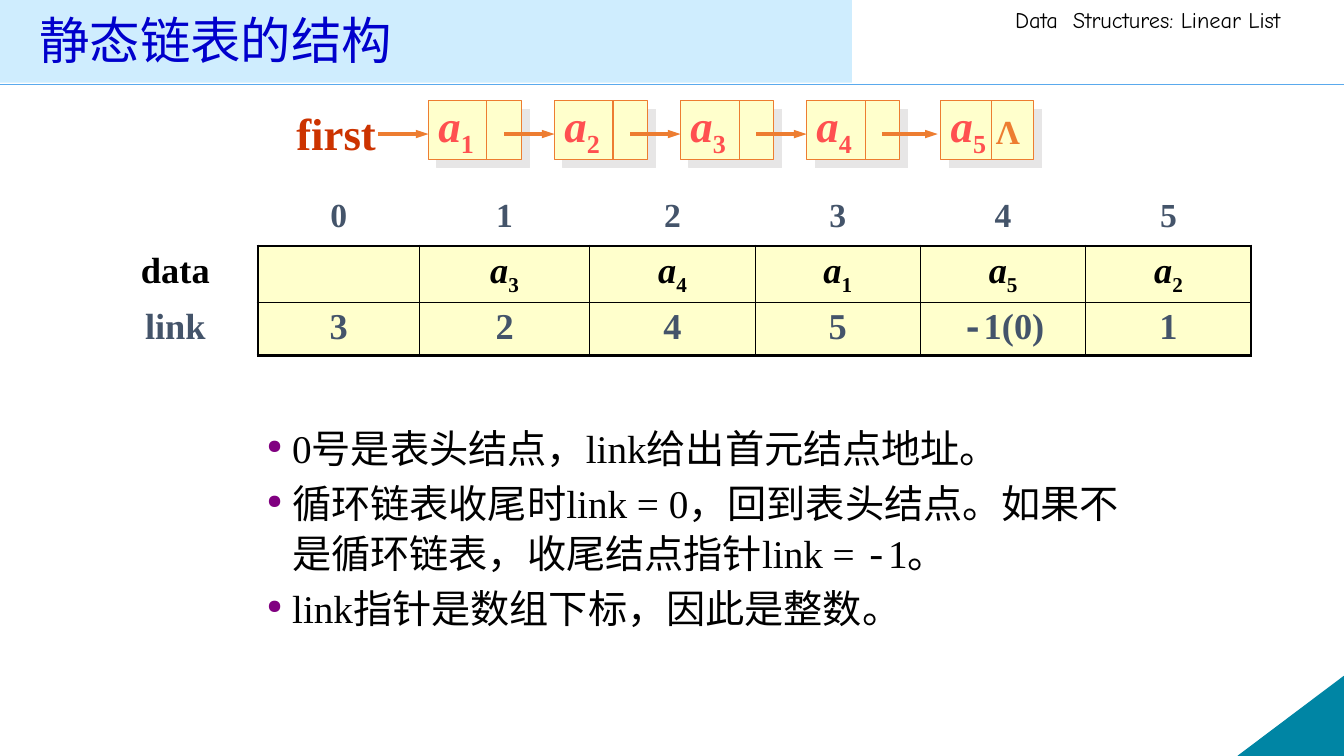
import pptx
import pptx.util
import pptx.dml.color
import pptx.enum.shapes
import pptx.enum.text
import pptx.oxml
import pptx.oxml.ns

BLACK = pptx.dml.color.RGBColor(0x00, 0x00, 0x00)
TITLE_BLUE = pptx.dml.color.RGBColor(0x00, 0x00, 0xCC)
BAND_BLUE = pptx.dml.color.RGBColor(0xCF, 0xED, 0xFE)
RULE_BLUE = pptx.dml.color.RGBColor(0x5A, 0xAA, 0xED)
TEAL = pptx.dml.color.RGBColor(0x00, 0x85, 0xA4)
CREAM = pptx.dml.color.RGBColor(0xFF, 0xFF, 0xCC)
SLATE = pptx.dml.color.RGBColor(0x44, 0x54, 0x6A)
ORANGE = pptx.dml.color.RGBColor(0xED, 0x7D, 0x31)
RED = pptx.dml.color.RGBColor(0xFF, 0x50, 0x50)
RUST = pptx.dml.color.RGBColor(0xCC, 0x33, 0x00)
PURPLE = pptx.dml.color.RGBColor(0x80, 0x00, 0x80)
SHADOW = pptx.dml.color.RGBColor(0xE7, 0xE6, 0xE6)

SERIF, SANS, MONO, COMIC = "Times New Roman", "Noto Sans CJK SC", "Courier New", "Comic Neue"


def inches(*lengths):
    return [pptx.util.Inches(v) for v in lengths]


def xml(body):
    """Parse one element of the a: namespace."""
    return pptx.oxml.parse_xml(f'<a:x {pptx.oxml.ns.nsdecls("a")}>{body}</a:x>')[0]


def add_run(p, text, size, color, font=SERIF, bold=False, italic=False, sub=False):
    r = p.add_run()
    r.text = text
    f = r.font
    f.size, f.name, f.bold, f.italic = pptx.util.Pt(size), font, bold, italic
    f.color.rgb = color
    rPr = r._r.get_or_add_rPr()
    rPr.append(xml(f'<a:ea typeface="{SANS}"/>'))
    if sub:
        rPr.set("baseline", "-25000")


def add_symbol(p, index, size, color):
    """Write an italic a with a subscript."""
    add_run(p, "a", size, color, bold=True, italic=True)
    add_run(p, index, size, color, bold=True, sub=True)


def add_text(s, x, y, w, h, wrap=False):
    tf = s.shapes.add_textbox(*inches(x, y, w, h)).text_frame
    tf.word_wrap = wrap
    return tf


def add_block(s, shape, x, y, w, h, fill, line=None):
    sp = s.shapes.add_shape(shape, *inches(x, y, w, h))
    sp.shadow.inherit = False
    sp.fill.solid()
    sp.fill.fore_color.rgb = fill
    if line is None:
        sp.line.fill.background()
    else:
        sp.line.color.rgb = line
        sp.line.width = pptx.util.Pt(0.75)
    return sp


def add_line(s, x1, y1, x2, y2, color, width, arrow=False):
    ln = s.shapes.add_connector(pptx.enum.shapes.MSO_CONNECTOR.STRAIGHT,
                                *inches(x1, y1, x2, y2))
    ln.line.color.rgb = color
    ln.line.width = pptx.util.Pt(width)
    spPr = ln._element.spPr
    if arrow:
        spPr.find(pptx.oxml.ns.qn("a:ln")).append(
            xml('<a:tailEnd type="triangle" w="sm" len="med"/>'))
    spPr.append(xml("<a:effectLst/>"))


def add_frame(s, w, h):
    add_line(s, 0, 0.84, w, 0.84, RULE_BLUE, 1)
    corner = add_block(s, pptx.enum.shapes.MSO_SHAPE.RIGHT_TRIANGLE,
                       w - 1.05, h - 0.79, 1.05, 0.79, TEAL, TEAL)
    corner._element.spPr.find(pptx.oxml.ns.qn("a:xfrm")).set("flipH", "1")
    p = add_text(s, 9.97, 0.01, w - 9.97, 0.37, wrap=True).paragraphs[0]
    add_run(p, "Data  Structures: Linear List", 16, BLACK, COMIC)
    add_block(s, pptx.enum.shapes.MSO_SHAPE.RECTANGLE, -0.03, -0.07, 8.48, 0.89, BAND_BLUE)


def add_title(s, x, y, w, h):
    """Place the title in front of the frame."""
    sp = s.shapes.title
    s.shapes._spTree.append(sp._element)
    sp.left, sp.top, sp.width, sp.height = inches(x, y, w, h)
    tf = sp.text_frame
    tf.auto_size = pptx.enum.text.MSO_AUTO_SIZE.NONE
    tf.vertical_anchor = pptx.enum.text.MSO_ANCHOR.MIDDLE
    p = tf.paragraphs[0]
    p.alignment = pptx.enum.text.PP_ALIGN.LEFT
    p.line_spacing = 0.9
    add_run(p, "静态链表的结构", 36, TITLE_BLUE, SANS)


def set_borders(cell, row, col, rows, cols):
    """Rule the value grid: thick outline, thin inside, nothing around the labels."""
    def edge(k, in_grid, last):
        if not in_grid or k == 0:
            return 0
        return 2.25 if k in (1, last) else 1

    widths = {"lnL": edge(col, row, cols), "lnR": edge(col + 1, row, cols),
              "lnT": edge(row, col, rows), "lnB": edge(row + 1, col, rows)}
    tcPr = cell._tc.get_or_add_tcPr()
    for i, (side, width) in enumerate(widths.items()):
        paint = f'<a:solidFill><a:srgbClr val="{BLACK}"/></a:solidFill>' if width else "<a:noFill/>"
        tcPr.insert(i, xml(f'<a:{side} w="{pptx.util.Pt(width)}">{paint}</a:{side}>'))


def add_list_table(s, x, y, widths, row_height):
    grid = [["", "0", "1", "2", "3", "4", "5"],
            ["data", "", "a3", "a4", "a1", "a5", "a2"],
            ["link", "3", "2", "4", "5", "-1(0)", "1"]]
    rows, cols = len(grid), len(widths)
    tbl = s.shapes.add_table(rows, cols, *inches(x, y, sum(widths), row_height * rows)).table
    tbl.first_row = tbl.horz_banding = False
    for c, width in enumerate(widths):
        tbl.columns[c].width = pptx.util.Inches(width)
    for r, values in enumerate(grid):
        tbl.rows[r].height = pptx.util.Inches(row_height)
        for c, value in enumerate(values):
            cell = tbl.cell(r, c)
            cell.margin_left = cell.margin_right = pptx.util.Inches(0.15)
            if r and c:
                cell.fill.solid()
                cell.fill.fore_color.rgb = CREAM
            else:
                cell.fill.background()
            set_borders(cell, r, c, rows, cols)
            p = cell.text_frame.paragraphs[0]
            p.alignment = pptx.enum.text.PP_ALIGN.CENTER
            size, color = 26 if r else 24, BLACK if r == 1 else SLATE
            if r == 1 and c and value:
                add_symbol(p, value[1:], size, color)
            elif value:
                if value.startswith("-"):
                    add_run(p, "-", size, color, MONO, bold=True)
                add_run(p, value.lstrip("-"), size, color, bold=True)


def add_notes_list(s, x, y, w, h):
    items = [["0号是表头结点，link给出首元结点地址。"],
             ["循环链表收尾时link = 0，回到表头结点。如果不是循环链表，收尾结点指针link = ", "-", "1。"],
             ["link指针是数组下标，因此是整数。"]]
    tf = add_text(s, x, y, w, h, wrap=True)
    for i, runs in enumerate(items):
        p = tf.paragraphs[0] if i == 0 else tf.add_paragraph()
        pPr = p._p.get_or_add_pPr()
        pPr.set("marL", str(pptx.util.Inches(0.25)))
        pPr.set("indent", str(pptx.util.Inches(-0.25)))
        pPr.append(xml(f'<a:buClr><a:srgbClr val="{PURPLE}"/></a:buClr>'))
        pPr.append(xml('<a:buSzPct val="50000"/>'))
        pPr.append(xml('<a:buChar char="●"/>'))
        p.line_spacing = 1.05
        if i:
            p.space_before = pptx.util.Pt(4)
        for text in runs:
            add_run(p, text, 28, BLACK, MONO if text == "-" else SERIF)


def add_chain(s, x, y):
    """Draw the linked nodes, the first one at x, y."""
    w, h, step, count = 0.92, 0.58, 1.25, 5
    for i in range(count):
        last = i == count - 1
        left = x + step * i + (0.08 if last else 0)
        node = add_block(s, pptx.enum.shapes.MSO_SHAPE.RECTANGLE, left, y, w, h, CREAM, ORANGE)
        node._element.spPr.find(pptx.oxml.ns.qn("a:effectLst")).append(xml(
            f'<a:outerShdw dist="{pptx.util.Pt(8.5)}" dir="2700000" algn="ctr" rotWithShape="0">'
            f'<a:srgbClr val="{SHADOW}"/></a:outerShdw>'))
        split = left + (0.5 if last else 0.58)
        add_line(s, split, y, split, y + h, ORANGE, 0.75)
        tip = left - (0.03 if last else 0)
        add_line(s, x + step * i - 0.5, y + 0.33, tip, y + 0.33, ORANGE, 3, arrow=True)
        add_symbol(add_text(s, left, y - 0.08, 0.57, 0.64).paragraphs[0], str(i + 1), 32, RED)
    p = add_text(s, split - 0.05, y + 0.05, 0.44, 0.51).paragraphs[0]
    add_run(p, "Λ", 24, ORANGE, bold=True)
    p = add_text(s, x - 1.41, y, 0.99, 0.63).paragraphs[0]
    add_run(p, "first", 32, RUST, bold=True)


def main():
    prs = pptx.Presentation()
    w, h = 13.33, 7.5
    prs.slide_width, prs.slide_height = inches(w, h)
    s = prs.slides.add_slide(prs.slide_layouts[5])
    add_frame(s, w, h)
    add_title(s, 0.29, 0.05, 11.5, 0.75)
    add_list_table(s, 0.92, 1.91, [1.64, 1.6, 1.69] + [1.64] * 4, 0.53)
    add_notes_list(s, 2.55, 4.14, 9, 2.56)
    add_chain(s, 4.25, 1)
    prs.save("out.pptx")


if __name__ == "__main__":
    main()
